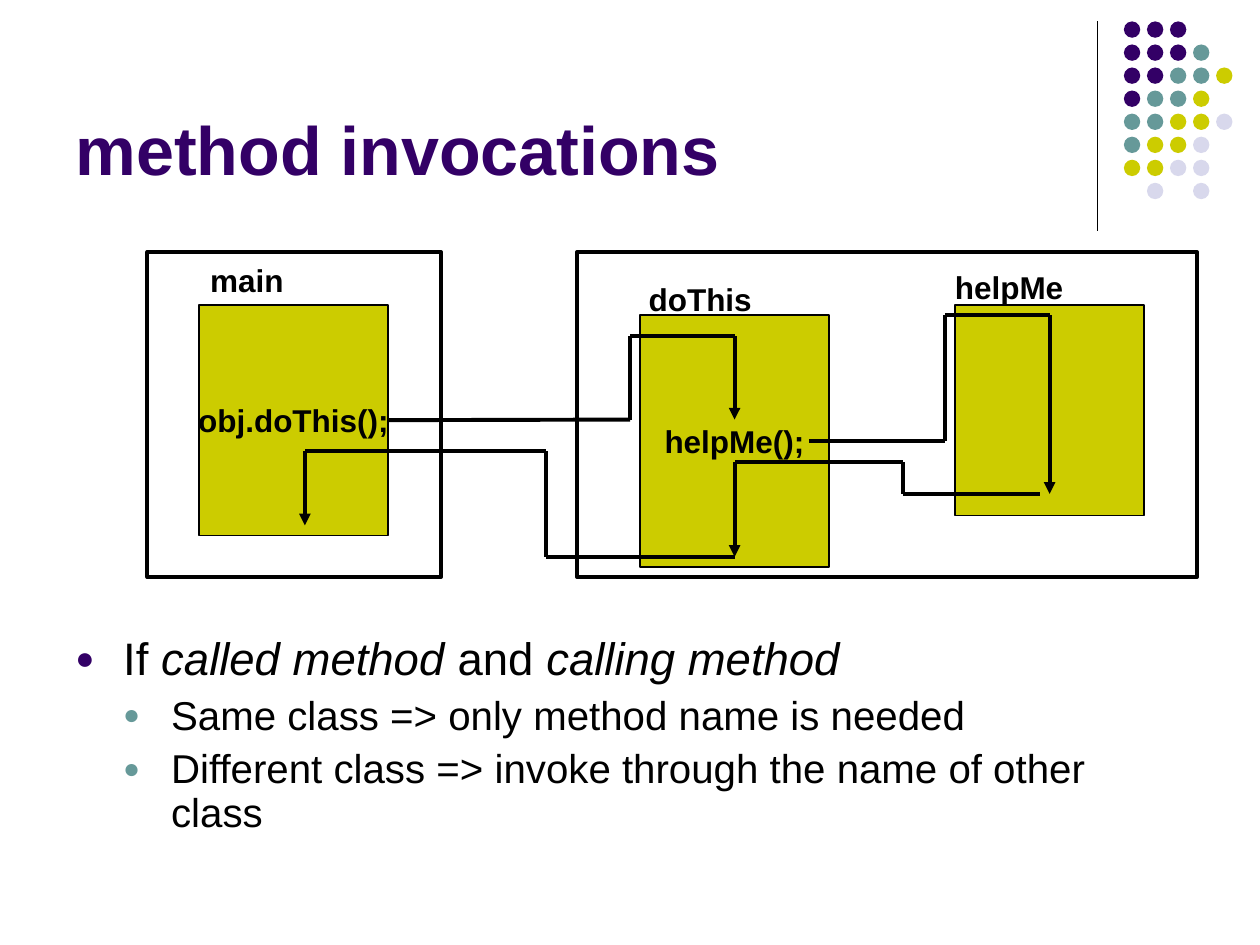
from itertools import pairwise

from lxml.etree import SubElement
from pptx import Presentation
from pptx.dml.color import RGBColor
from pptx.enum.shapes import MSO_CONNECTOR, MSO_SHAPE
from pptx.enum.text import MSO_ANCHOR, PP_ALIGN
from pptx.oxml.ns import qn
from pptx.util import Inches, Pt

COLORS = {"purple": "330066", "teal": "669999", "olive": "CCCC00",
          "pale": "D8D8EC", "black": "000000"}

TITLE = "method invocations"
# level, size, space before, bullet colour, runs of (text, italic)
BULLETS = [
    (0, 26, 0, "purple", [("If ", False), ("called method ", True),
                          ("and ", False), ("calling method", True)]),
    (1, 23, 5.8, "teal", [("Same class => only method name is needed", False)]),
    (1, 23, 5.8, "teal",
     [("Different class => invoke through the name of other class", False)]),
]

# one letter per dot
DOTS = ["PPP", "PPPT", "PPTTO", "PTTO", "TTOOL", "TOOL", "OOLL", " L L"]
DOT_COLORS = {"P": "purple", "T": "teal", "O": "olive", "L": "pale"}
DOT_LEFT, DOT_TOP, DOT_STEP, DOT_SIZE = 8.92, 0.17, 0.183, 0.13

CLASSES = [(1.17, 2, 2.33, 2.58), (4.58, 2, 4.92, 2.58)]
# name, label box, method box, call shown inside
METHODS = [
    ("main", (1.57, 2.02, 0.85, 0.4), (1.58, 2.42, 1.5, 1.83), "obj.doThis();"),
    ("doThis", (5.05, 2.17, 1.1, 0.4), (5.08, 2.5, 1.5, 2), "helpMe();"),
    ("helpMe", (7.48, 2.08, 1.15, 0.4), (7.58, 2.42, 1.5, 1.67), ""),
]
# corner points; the arrowhead is at the last one
CALL_DO_THIS = [(3.08, 3.33), (5, 3.33), (5, 2.67), (5.83, 2.67), (5.83, 3.33)]
CALL_HELP_ME = [(6.42, 3.5), (7.5, 3.5), (7.5, 2.5), (8.33, 2.5), (8.33, 3.92)]
HELP_ME_RETURN = [(8.25, 3.92), (7.17, 3.92), (7.17, 3.67), (5.83, 3.67), (5.83, 4.42)]
DO_THIS_RETURN = [(5.83, 4.42), (4.33, 4.42), (4.33, 3.58), (2.42, 3.58), (2.42, 4.17)]


def rgb(name):
    return RGBColor.from_string(COLORS[name])


def add_run(p, text, size=18, color="black", bold=False, italic=False):
    r = p.add_run()
    r.text = text
    f = r.font
    f.name, f.size, f.bold, f.italic = "Arial", Pt(size), bold, italic
    f.color.rgb = rgb(color)


def add_box(s, box, anchor=MSO_ANCHOR.TOP):
    tf = s.shapes.add_textbox(*map(Inches, box)).text_frame
    tf.word_wrap, tf.vertical_anchor = True, anchor
    return tf


def add_shape(s, kind, box, fill=None, line=None):
    sp = s.shapes.add_shape(kind, *map(Inches, box))
    sp.shadow.inherit = False
    if fill:
        sp.fill.solid()
        sp.fill.fore_color.rgb = rgb(fill)
    else:
        sp.fill.background()
    if line:
        sp.line.color.rgb = rgb("black")
        sp.line.width = Pt(line)
    else:
        sp.line.fill.background()
    return sp


def add_line(s, start, end, width=2.25, arrow=False):
    c = s.shapes.add_connector(MSO_CONNECTOR.STRAIGHT, *map(Inches, start + end))
    c.line.color.rgb = rgb("black")
    c.line.width = Pt(width)
    spPr = c._element.spPr
    if arrow:
        SubElement(spPr.get_or_add_ln(), qn("a:tailEnd"), type="triangle")
    SubElement(spPr, qn("a:effectLst"))
    return c


def add_route(s, points):
    """Draw one line per leg, with an arrowhead on the last; return the lines."""
    legs = list(pairwise(points))
    return [add_line(s, a, b, arrow=(a, b) == legs[-1]) for a, b in legs]


def add_bullet(p, level, color):
    pPr = p._p.get_or_add_pPr()
    pPr.set("marL", str(Inches(0.38 * (level + 1))))
    pPr.set("indent", str(Inches(-0.38)))
    clr = SubElement(pPr, qn("a:buClr"))
    SubElement(clr, qn("a:srgbClr"), val=COLORS[color])
    SubElement(pPr, qn("a:buSzPct"), val="70000")
    SubElement(pPr, qn("a:buFont"), typeface="Arial")
    SubElement(pPr, qn("a:buChar"), char="●")


def add_decoration(s):
    add_line(s, (8.71, 0.17), (8.71, 1.83), width=0.75)
    for row, letters in enumerate(DOTS):
        for col, letter in enumerate(letters):
            if letter in DOT_COLORS:
                box = (DOT_LEFT + col * DOT_STEP, DOT_TOP + row * DOT_STEP,
                       DOT_SIZE, DOT_SIZE)
                add_shape(s, MSO_SHAPE.OVAL, box, fill=DOT_COLORS[letter])


def add_text(s):
    tf = add_box(s, (0.5, 0.13, 8.25, 1.42), anchor=MSO_ANCHOR.BOTTOM)
    add_run(tf.paragraphs[0], TITLE, size=39, color="purple", bold=True)

    tf = add_box(s, (0.5, 5, 9, 1.7))
    for i, (level, size, before, color, runs) in enumerate(BULLETS):
        p = tf.add_paragraph() if i else tf.paragraphs[0]
        add_bullet(p, level, color)
        p.level, p.line_spacing, p.space_before = level, 0.9, Pt(before)
        for text, italic in runs:
            add_run(p, text, size=size, italic=italic)


def add_diagram(s):
    for box in CLASSES:
        add_shape(s, MSO_SHAPE.RECTANGLE, box, line=2.25)
    methods = {}
    for name, label_box, box, call in METHODS:
        sp = add_shape(s, MSO_SHAPE.RECTANGLE, box, fill="olive", line=0.75)
        methods[name] = sp
        if call:
            tf = sp.text_frame
            tf.word_wrap, tf.vertical_anchor = False, MSO_ANCHOR.MIDDLE
            tf.paragraphs[0].alignment = PP_ALIGN.CENTER
            add_run(tf.paragraphs[0], call, bold=True)
        tf = add_box(s, label_box)
        add_run(tf.paragraphs[0], name, bold=True)

    first_leg = add_route(s, CALL_DO_THIS)[0]
    first_leg.begin_connect(methods["main"], 3)
    for points in (CALL_HELP_ME, HELP_ME_RETURN, DO_THIS_RETURN):
        add_route(s, points)


def main():
    prs = Presentation()
    prs.slide_width, prs.slide_height = Inches(10), Inches(7.5)
    s = prs.slides.add_slide(prs.slide_layouts[6])
    add_decoration(s)
    add_text(s)
    add_diagram(s)
    prs.save("out.pptx")


if __name__ == "__main__":
    main()
